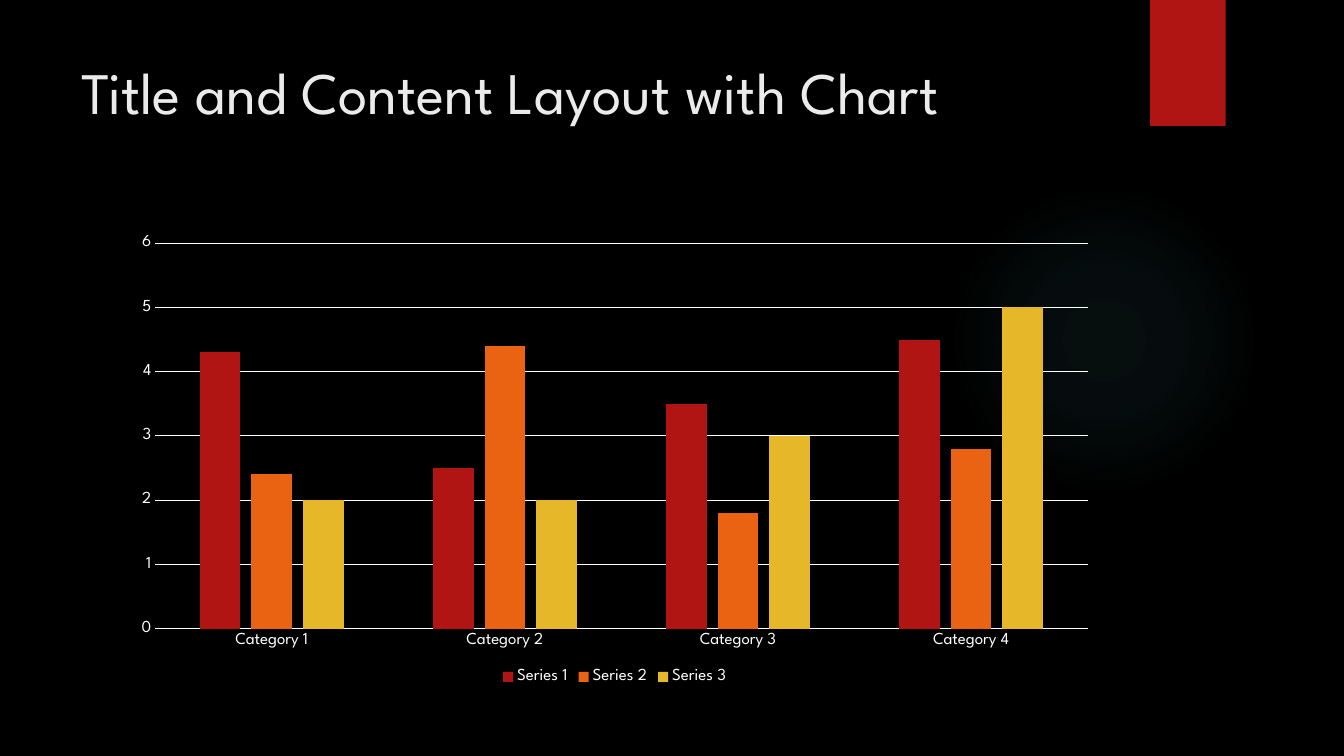
from lxml.etree import SubElement
from pptx import Presentation
from pptx.chart.data import CategoryChartData
from pptx.dml.color import RGBColor
from pptx.enum.chart import XL_CHART_TYPE as ChartType
from pptx.enum.chart import XL_LEGEND_POSITION as LegendPosition
from pptx.enum.chart import XL_TICK_MARK as TickMark
from pptx.enum.shapes import MSO_SHAPE as Shape
from pptx.enum.text import MSO_ANCHOR as Anchor
from pptx.enum.text import MSO_AUTO_SIZE as AutoSize
from pptx.enum.text import PP_ALIGN as Align
from pptx.oxml.ns import qn
from pptx.util import Pt

FONT = "League Spartan"
COLORS = {
    "background": "000000",
    "glow": "50B9C1",
    "title": "EBEBEB",
    "chart": "FFFFFF",
    "red": "B01513",
    "orange": "EA6312",
    "yellow": "E6B729",
}
GLOW_STOPS = [(0, 7), (36, 6), (69, 0)]  # position and opacity, in percent
CATEGORIES = ["Category 1", "Category 2", "Category 3", "Category 4"]
SERIES = [
    ("Series 1", (4.3, 2.5, 3.5, 4.5), "red"),
    ("Series 2", (2.4, 4.4, 1.8, 2.8), "orange"),
    ("Series 3", (2, 2, 3, 5), "yellow"),
]


def rgb(name):
    return RGBColor.from_string(COLORS[name])


def set_font(font, size, color):
    font.name = FONT
    font.size = Pt(size)
    font.color.rgb = rgb(color)


def write_text(frame, text, size=12, color="chart", align=Align.LEFT, anchor=Anchor.TOP):
    frame.word_wrap = True
    frame.auto_size = AutoSize.NONE
    frame.vertical_anchor = anchor
    paragraph = frame.paragraphs[0]
    paragraph.alignment = align
    run = paragraph.add_run()
    run.text = text
    set_font(run.font, size, color)


def add_plain_shape(slide, kind, box, color):
    shape = slide.shapes.add_shape(kind, *map(Pt, box))
    shape.shadow.inherit = False
    shape.fill.solid()
    shape.fill.fore_color.rgb = rgb(color)
    shape.line.fill.background()
    return shape


def add_glow(slide, box):
    """Draw a circle whose fill fades out from its centre."""
    glow = add_plain_shape(slide, Shape.OVAL, box, "glow")
    solid = glow._element.spPr.find(qn("a:solidFill"))
    gradient = solid.makeelement(qn("a:gradFill"), {"rotWithShape": "1"})
    stops = SubElement(gradient, qn("a:gsLst"))
    for position, opacity in GLOW_STOPS:
        stop = SubElement(stops, qn("a:gs"), pos=str(position * 1000))
        color = SubElement(stop, qn("a:srgbClr"), val=COLORS["glow"])
        SubElement(color, qn("a:alpha"), val=str(opacity * 1000))
    circle = SubElement(gradient, qn("a:path"), path="circle")
    SubElement(circle, qn("a:fillToRect"), {side: "50000" for side in "ltrb"})
    solid.getparent().replace(solid, gradient)


def add_backdrop(slide, width):
    slide.background.fill.solid()
    slide.background.fill.fore_color.rgb = rgb("background")
    add_glow(slide, (width - 282.5, 131.75, 221.75, 221.75))
    add_plain_shape(slide, Shape.RECTANGLE, (width - 138.5, 0, 54, 90), "red")


def place_title(slide, box, text):
    title = slide.shapes.title
    title.left, title.top, title.width, title.height = map(Pt, box)
    write_text(title.text_frame, text, size=42, color="title")


def style_axis(axis):
    axis.major_tick_mark = axis.minor_tick_mark = TickMark.NONE
    set_font(axis.tick_labels.font, 12, "chart")


def style_line(line):
    line.color.rgb = rgb("chart")
    line.width = Pt(0.75)


def add_column_chart(slide, box):
    data = CategoryChartData()
    data.categories = CATEGORIES
    for name, values, _ in SERIES:
        data.add_series(name, values)
    chart = slide.shapes.add_chart(
        ChartType.COLUMN_CLUSTERED, *map(Pt, box), data
    ).chart
    chart.has_title = False
    set_font(chart.font, 10, "chart")

    columns = chart.plots[0]
    columns.gap_width, columns.overlap = 219, -27
    columns.vary_by_categories = False
    for series, (_, _, color) in zip(columns.series, SERIES):
        series.format.fill.solid()
        series.format.fill.fore_color.rgb = rgb(color)
        series.invert_if_negative = False

    style_axis(chart.category_axis)
    style_line(chart.category_axis.format.line)
    values_axis = chart.value_axis
    style_axis(values_axis)
    values_axis.format.line.fill.background()
    values_axis.minimum_scale, values_axis.maximum_scale = 0, 6
    values_axis.major_unit = 1
    values_axis.has_major_gridlines = True
    style_line(values_axis.major_gridlines.format.line)

    chart.has_legend = True
    chart.legend.position = LegendPosition.BOTTOM
    chart.legend.include_in_layout = False
    set_font(chart.legend.font, 12, "chart")


def main():
    deck = Presentation()
    deck.slide_width, deck.slide_height = Pt(960), Pt(540)
    slide = deck.slides.add_slide(deck.slide_layouts[5])
    add_backdrop(slide, 960)
    place_title(slide, (51, 36, 741, 110), "Title and Content Layout with Chart")
    add_column_chart(slide, (87, 161.5, 704, 330.5))
    deck.save("out.pptx")


if __name__ == "__main__":
    main()
